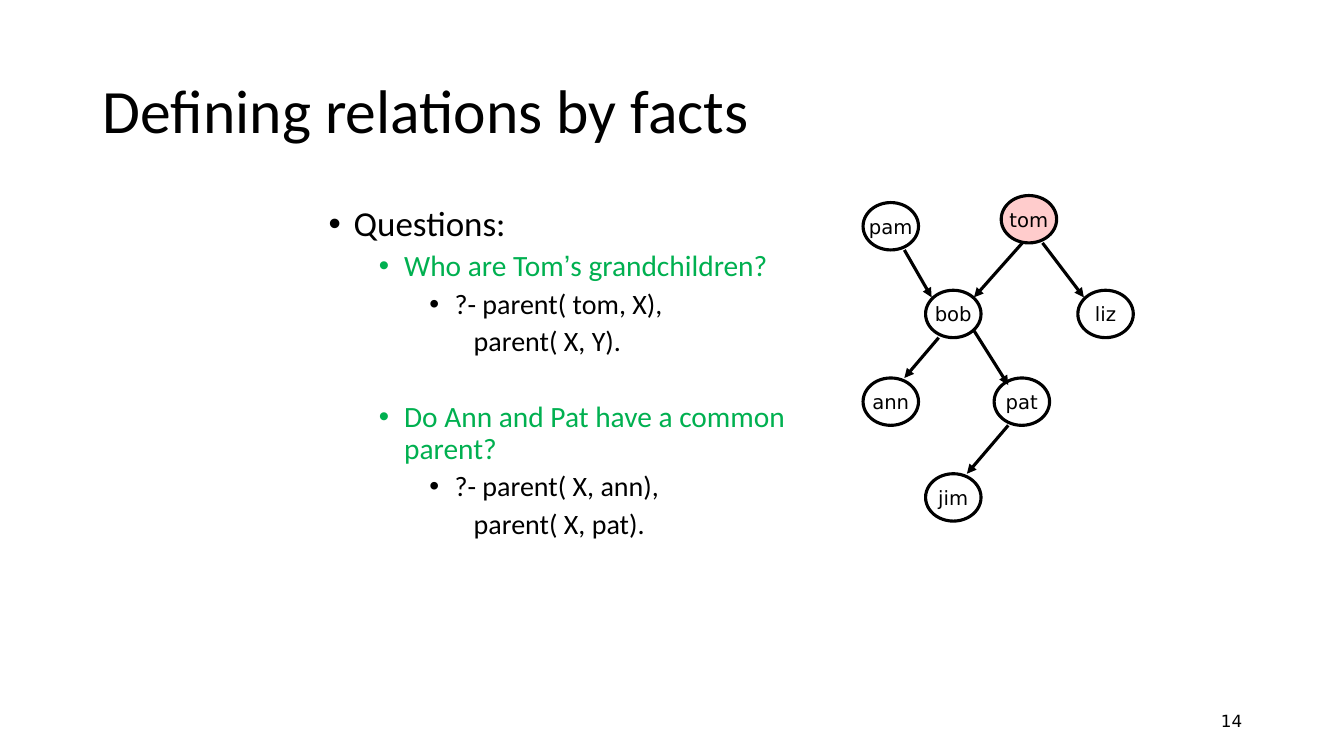
from dataclasses import dataclass

from lxml import etree
from pptx import Presentation
from pptx import util as u
from pptx.dml.color import RGBColor
from pptx.enum import shapes, text
from pptx.oxml.ns import qn

PX = 9144  # 100 px to the inch


@dataclass(frozen=True)
class Theme:
    ink: str = "000000"
    question: str = "00B050"
    node: str = "FFFFFF"
    picked: str = "FFCCCC"
    body_font: str = "Calibri"
    quote_font: str = "Arial"
    label_font: str = "DejaVu Sans"
    title: int = 44
    heading: int = 25
    question_size: int = 21
    query: int = 20
    label: int = 14
    number: int = 12
    stroke: float = 2.25


THEME = Theme()
# Kind of line: text indent, hanging indent, size, colour, space before
OUTLINE = {
    "heading": (25, 25, THEME.heading, THEME.ink, 10),
    "question": (75, 25, THEME.question_size, THEME.question, 5),
    "next question": (75, 25, THEME.question_size, THEME.question, 32),
    "query": (125, 25, THEME.query, THEME.ink, 5),
    "query end": (144, 0, THEME.query, THEME.ink, 5),
}
QUESTIONS = [
    ("heading", ["Questions:"]),
    ("question", ["Who are Tom", "’", "s grandchildren?"]),
    ("query", ["?- parent( tom, X),"]),
    ("query end", ["parent( X, Y)."]),
    ("next question", ["Do Ann and Pat have a common parent?"]),
    ("query", ["?- parent( X, ann),"]),
    ("query end", ["parent( X, pat)."]),
]
NODE_SIZE = (55, 47)
PEOPLE = {
    "pam": (0, 7), "liz": (213, 94), "bob": (62, 94), "jim": (62, 276),
    "pat": (130, 181), "ann": (0, 181), "tom": (137, 0),
}
# Parent, point on its node, child, point on its node
PARENTHOOD = [
    ("pam", (41, 47), "bob", (6, 7)),
    ("tom", (21, 47), "bob", (48, 7)),
    ("tom", (41, 47), "liz", (6, 7)),
    ("bob", (13, 47), "ann", (41, 0)),
    ("bob", (48, 40), "pat", (14, 7)),
    ("pat", (14, 47), "jim", (41, 0)),
]


def emu(*lengths):
    return [length * PX for length in lengths]


def add_run(paragraph, words, size, font, color=THEME.ink):
    run = paragraph.add_run()
    run.text = words
    run.font.size = u.Pt(size)
    run.font.name = font
    run.font.color.rgb = RGBColor.from_string(color)


def add_title(slide, box, words):
    title = slide.shapes.title
    title.left, title.top, title.width, title.height = emu(*box)
    frame = title.text_frame
    frame.word_wrap = True
    frame.auto_size = text.MSO_AUTO_SIZE.NONE
    frame.vertical_anchor = text.MSO_ANCHOR.MIDDLE
    line = frame.paragraphs[0]
    line.alignment = text.PP_ALIGN.LEFT
    line.line_spacing = 0.9
    add_run(line, words, THEME.title, THEME.body_font)


def indent(paragraph, left, hanging):
    """Indent a paragraph, with a bullet where it hangs."""
    props = paragraph._p.get_or_add_pPr()
    props.set("marL", str(left * PX))
    props.set("indent", str(-hanging * PX))
    if hanging:
        etree.SubElement(props, qn("a:buFont"), typeface="Arial")
        etree.SubElement(props, qn("a:buChar"), char="•")


def add_questions(slide, box):
    frame = slide.shapes.add_textbox(*emu(*box)).text_frame
    frame.word_wrap = True
    for number, (kind, parts) in enumerate(QUESTIONS):
        line = frame.add_paragraph() if number else frame.paragraphs[0]
        left, hanging, size, color, before = OUTLINE[kind]
        line.line_spacing = 0.9
        line.space_before = u.Pt(before)
        indent(line, left, hanging)
        for part in parts:
            font = THEME.quote_font if part == "’" else THEME.body_font
            add_run(line, part, size, font, color)


def add_person(tree, x, y, name):
    node = tree.shapes.add_shape(shapes.MSO_SHAPE.OVAL, *emu(x, y, *NODE_SIZE))
    node.shadow.inherit = False
    node.fill.solid()
    fill = THEME.picked if name == "tom" else THEME.node
    node.fill.fore_color.rgb = RGBColor.from_string(fill)
    node.line.color.rgb = RGBColor.from_string(THEME.ink)
    node.line.width = u.Pt(THEME.stroke)
    frame = node.text_frame
    frame.word_wrap = False
    frame.vertical_anchor = text.MSO_ANCHOR.MIDDLE
    label = frame.paragraphs[0]
    label.alignment = text.PP_ALIGN.CENTER
    add_run(label, name, THEME.label, THEME.label_font)


def add_arrow(tree, start, end):
    arrow = tree.shapes.add_connector(
        shapes.MSO_CONNECTOR.STRAIGHT, *emu(*start, *end))
    arrow.line.color.rgb = RGBColor.from_string(THEME.ink)
    arrow.line.width = u.Pt(THEME.stroke)
    etree.SubElement(arrow.line._get_or_add_ln(), qn("a:tailEnd"), type="triangle")
    etree.SubElement(arrow._element.spPr, qn("a:effectLst"))


def add_family_tree(slide, left, top):
    tree = slide.shapes.add_group_shape()
    for name, (x, y) in PEOPLE.items():
        add_person(tree, left + x, top + y, name)

    def point(name, offset):
        x, y = PEOPLE[name]
        return left + x + offset[0], top + y + offset[1]

    for parent, leave, child, reach in PARENTHOOD:
        add_arrow(tree, point(parent, leave), point(child, reach))


def add_slide_number(slide, box, number):
    frame = slide.shapes.add_textbox(*emu(*box)).text_frame
    frame.word_wrap = True
    frame.vertical_anchor = text.MSO_ANCHOR.MIDDLE
    line = frame.paragraphs[0]
    line.alignment = text.PP_ALIGN.RIGHT
    add_run(line, number, THEME.number, THEME.label_font)


def main():
    deck = Presentation()
    deck.slide_width, deck.slide_height = emu(1333, 750)
    slide = deck.slides.add_slide(deck.slide_layouts.get_by_name("Title Only"))
    add_slide_number(slide, (942, 695, 300, 40), "14")
    add_title(slide, (92, 40, 1150, 145), "Defining relations by facts")
    add_questions(slide, (316, 200, 571, 450))
    add_family_tree(slide, 856, 194)
    deck.save("out.pptx")


if __name__ == "__main__":
    main()
